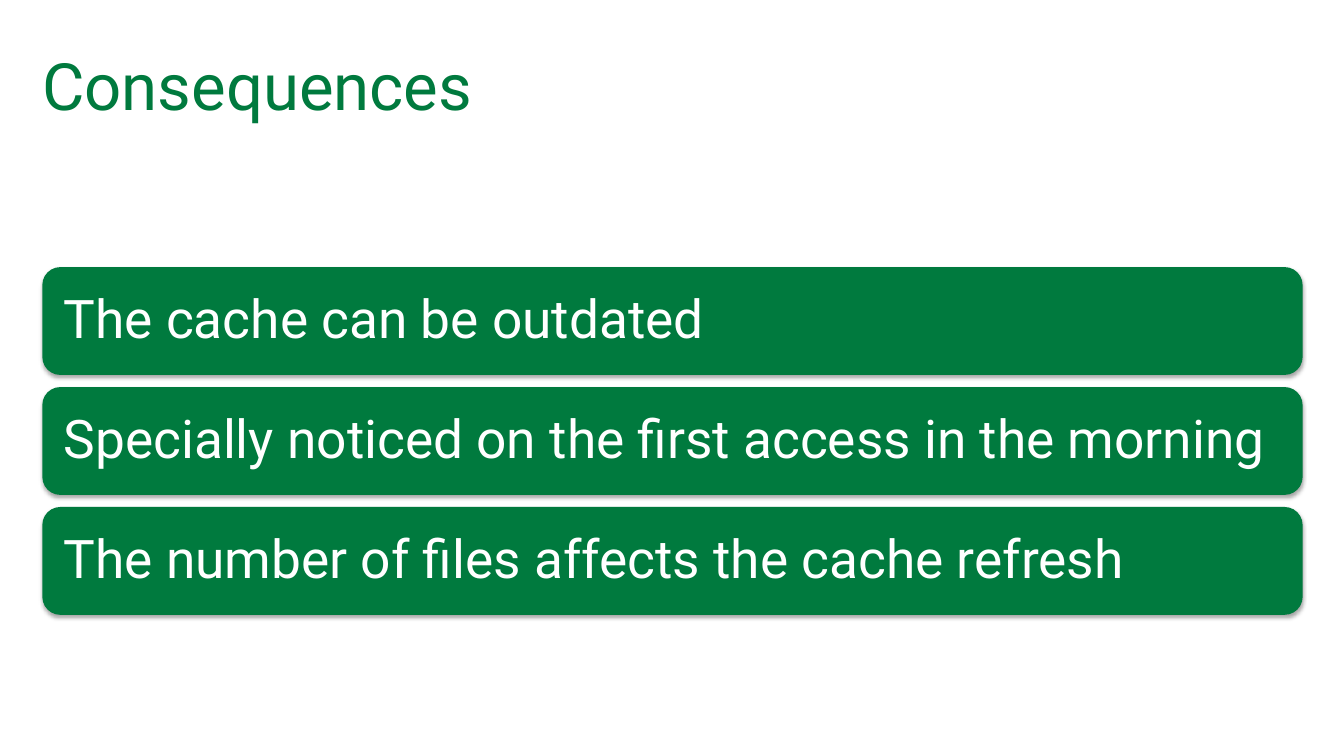
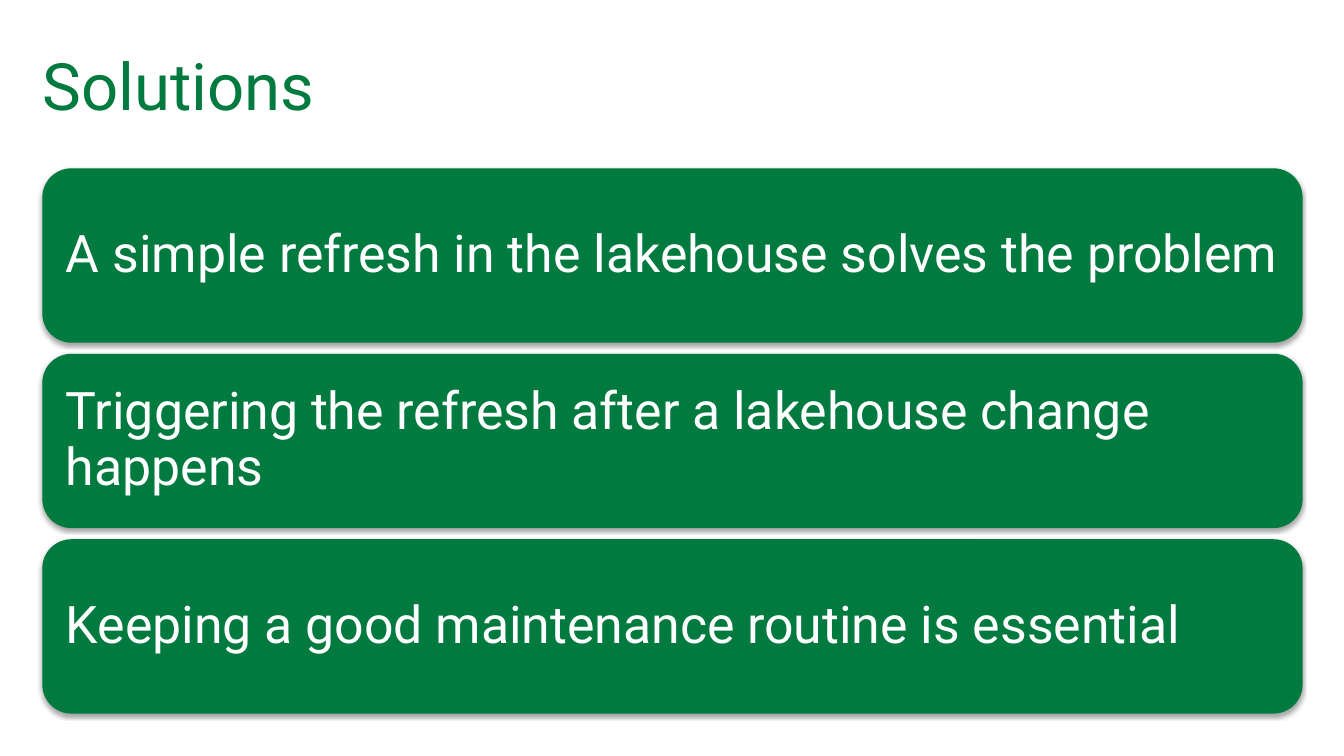
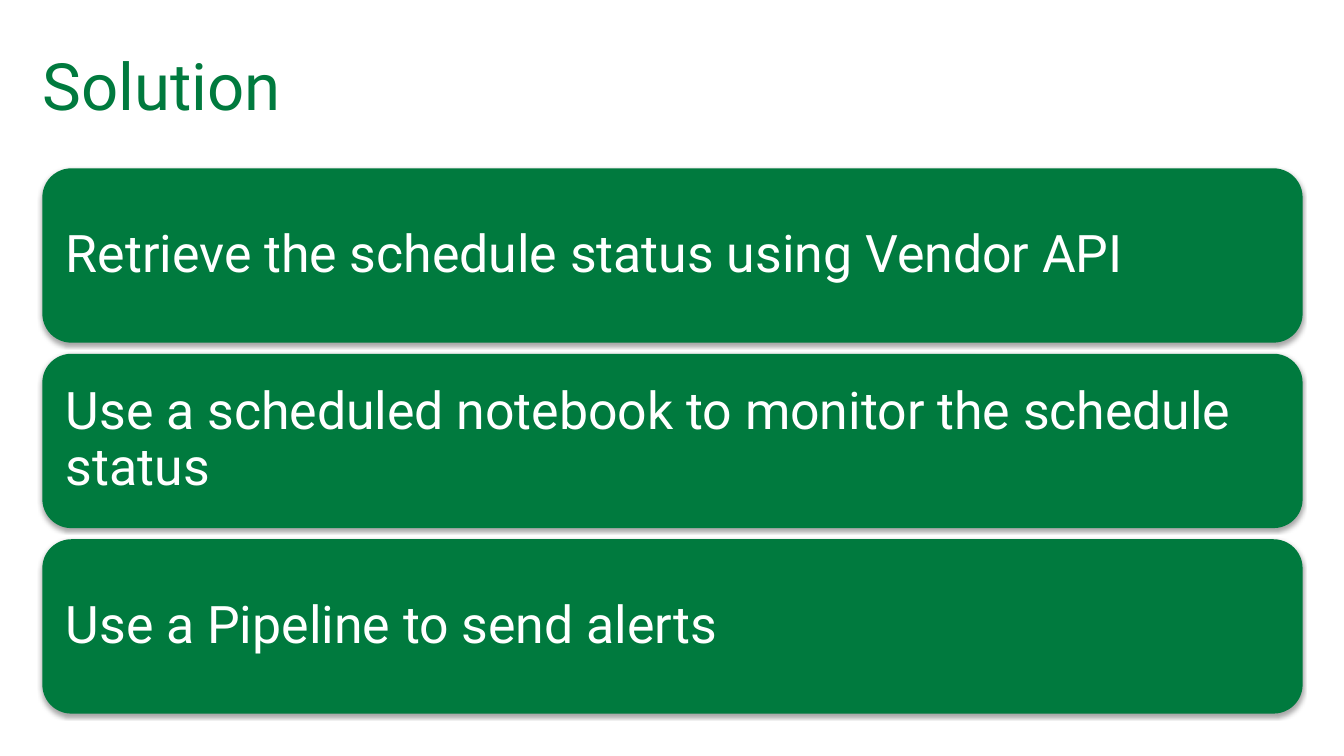
from lxml import etree
from pptx import Presentation
from pptx.dml.color import RGBColor
from pptx.enum.shapes import MSO_SHAPE
from pptx.enum.text import MSO_ANCHOR, PP_ALIGN
from pptx.oxml.ns import qn
from pptx.util import Inches, Pt

ROUND = MSO_SHAPE.ROUNDED_RECTANGLE
MIDDLE = MSO_ANCHOR.MIDDLE
LEFT = PP_ALIGN.LEFT

# Shared style
COLORS = {"green": "007A3E", "white": "FFFFFF", "black": "000000"}
FONT = "Roboto"
EDGE, WIDTH = 0.42, 12.5

# Card layouts: first top, height, step between tops, inset, text size
SHORT = (2.65, 1.07, 1.19, 0.16, 38)
TALL = (1.67, 1.73, 1.84, 0.15, 37)

DECK = [
    ("Consequences", SHORT, [
        "The cache can be outdated",
        "Specially noticed on the first access in the morning",
        "The number of files affects the cache refresh",
    ]),
    ("Solutions", TALL, [
        "A simple refresh in the lakehouse solves the problem",
        "Triggering the refresh after a lakehouse change happens",
        "Keeping a good maintenance routine is essential",
    ]),
    ("Solution", TALL, [
        "Retrieve the schedule status using Vendor API",
        "Use a scheduled notebook to monitor the schedule status",
        "Use a Pipeline to send alerts",
    ]),
]


def color(name):
    return RGBColor.from_string(COLORS[name])


def write(shape, text, size, ink, inset=0):
    """Fill a shape with one left-aligned, vertically centred paragraph."""
    frame = shape.text_frame
    frame.word_wrap = True
    frame.vertical_anchor = MIDDLE
    frame.margin_left = frame.margin_right = Inches(inset)
    frame.margin_top = frame.margin_bottom = Inches(inset)
    para = frame.paragraphs[0]
    para.text = text
    para.alignment = LEFT
    para.font.name = FONT
    para.font.size = Pt(size)
    para.font.color.rgb = color(ink)
    return para


def shade(shape):
    """Give a shape a soft shadow straight below it."""
    shape.shadow.inherit = False
    effects = shape._element.spPr.find(qn("a:effectLst"))
    outer = etree.SubElement(
        effects, qn("a:outerShdw"), blurRad=str(Pt(3.1)), dist=str(Pt(1.8)),
        dir="5400000", rotWithShape="0")
    tint = etree.SubElement(outer, qn("a:srgbClr"), val=COLORS["black"])
    etree.SubElement(tint, qn("a:alpha"), val="35000")


def title(slide, text):
    box = slide.shapes.add_textbox(
        Inches(EDGE), Inches(0.42), Inches(WIDTH), Inches(0.83))
    write(box, text, 46.6, "green")


def card(slide, text, top, height, inset, size):
    shape = slide.shapes.add_shape(
        ROUND, Inches(EDGE), Inches(top), Inches(WIDTH), Inches(height))
    shape.fill.solid()
    shape.fill.fore_color.rgb = color("green")
    shape.line.fill.background()
    shade(shape)
    write(shape, text, size, "white", inset).line_spacing = 0.9


def stack(slide, layout, items):
    top, height, step, inset, size = layout
    for row, text in enumerate(items):
        card(slide, text, top + row * step, height, inset, size)


def main():
    deck = Presentation()
    deck.slide_width, deck.slide_height = Inches(13.33), Inches(7.5)
    blank = deck.slide_layouts[6]
    for head, layout, items in DECK:
        slide = deck.slides.add_slide(blank)
        title(slide, head)
        stack(slide, layout, items)
    deck.save("out.pptx")


if __name__ == "__main__":
    main()
